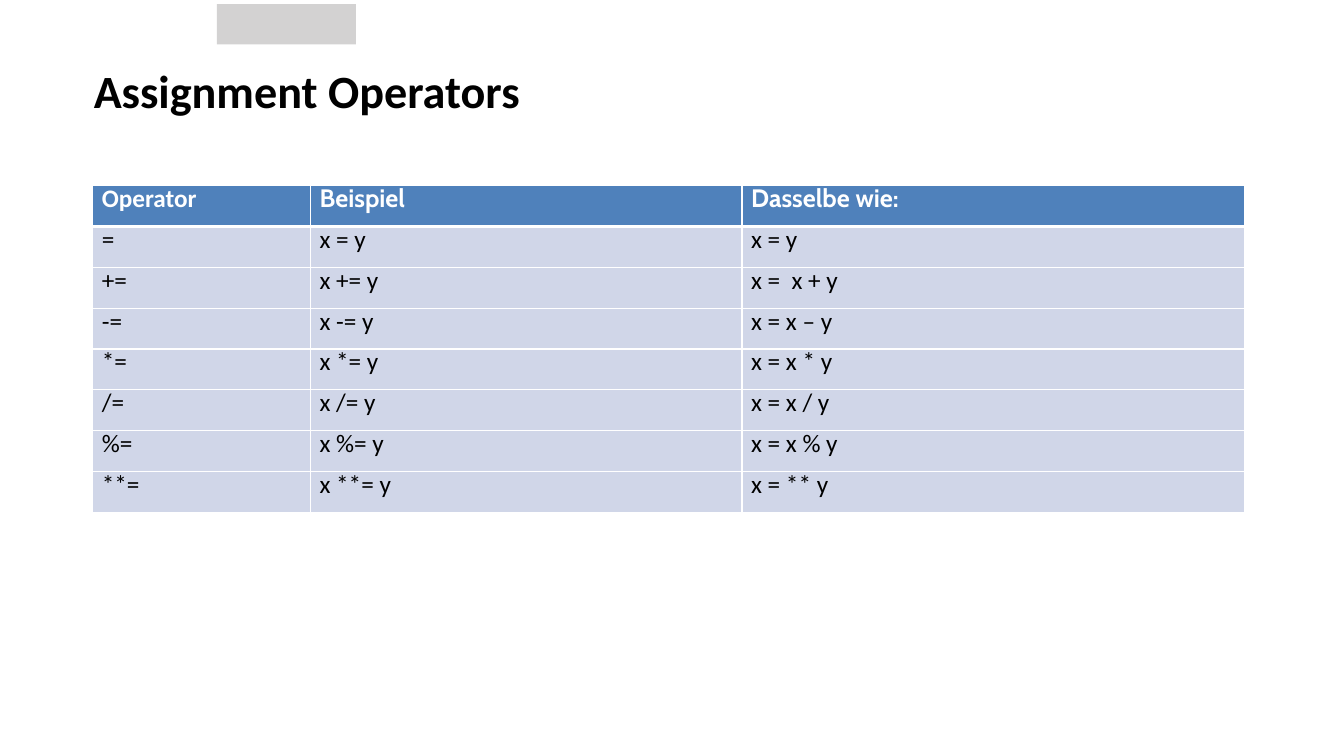
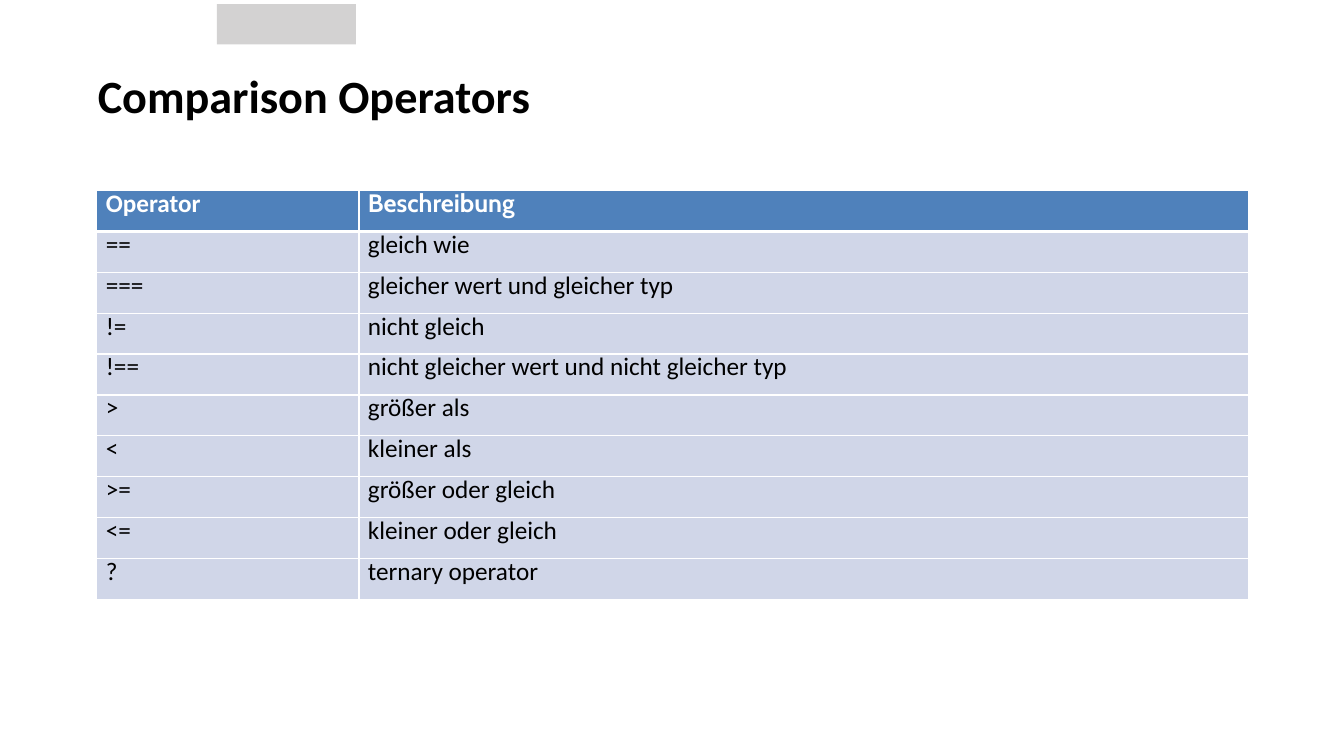
from lxml import etree
from pptx import Presentation
from pptx.dml.color import RGBColor
from pptx.enum.shapes import MSO_SHAPE
from pptx.enum.text import MSO_ANCHOR, MSO_AUTO_SIZE
from pptx.oxml.ns import qn
from pptx.util import Inches, Pt

RECTANGLE = MSO_SHAPE.RECTANGLE
MIDDLE = MSO_ANCHOR.MIDDLE
FIT_SHAPE = MSO_AUTO_SIZE.SHAPE_TO_FIT_TEXT

WHITE, BLACK = "FFFFFF", "000000"
BAND_GREY, HEADER_BLUE, BODY_BLUE = "D3D2D2", "4F81BB", "D0D6E8"
BODY_FONT, HEADER_FONT = "Calibri", "Cabin"

TITLE_TO_TABLE = 1.24
ROW_HEIGHT = Pt(29.2)
THIN, THICK = Pt(1), Pt(3)

ASSIGNMENT_ROWS = [
    ("Operator", "Beispiel", "Dasselbe wie:"),
    ("=", "x = y", "x = y"),
    ("+=", "x += y", "x =  x + y"),
    ("-=", "x -= y", "x = x – y"),
    ("*=", "x *= y", "x = x * y"),
    ("/=", "x /= y", "x = x / y"),
    ("%=", "x %= y", "x = x % y"),
    ("**=", "x **= y", "x = ** y"),
]
COMPARISON_ROWS = [
    ("Operator", "Beschreibung"),
    ("==", "gleich wie"),
    ("===", "gleicher wert und gleicher typ"),
    ("!=", "nicht gleich"),
    ("!==", "nicht gleicher wert und nicht gleicher typ"),
    (">", "größer als"),
    ("<", "kleiner als"),
    (">=", "größer oder gleich"),
    ("<=", "kleiner oder gleich"),
    ("?", "ternary operator"),
]


def color(value):
    return RGBColor.from_string(value)


def set_fill(target, value):
    target.fill.solid()
    target.fill.fore_color.rgb = color(value)


def add_run(paragraph, text, size, value, bold=False, font=BODY_FONT):
    run = paragraph.add_run()
    run.text = text
    run.font.name = font
    run.font.size = Pt(size)
    run.font.bold = bold
    run.font.color.rgb = color(value)


def add_band(slide):
    band = slide.shapes.add_shape(
        RECTANGLE, Inches(2.15), Inches(0.04), Inches(1.38), Inches(0.4))
    band.shadow.inherit = False
    set_fill(band, BAND_GREY)
    band.line.fill.background()


def add_title(slide, text, left, top):
    title = slide.shapes.add_textbox(
        Inches(left), Inches(top), Inches(5.25), Inches(0.57))
    frame = title.text_frame
    frame.word_wrap = True
    frame.auto_size = FIT_SHAPE
    frame.vertical_anchor = MIDDLE
    frame.margin_left = frame.margin_top = Inches(0.01)
    frame.margin_right = frame.margin_bottom = 0
    paragraph = frame.paragraphs[0]
    paragraph.space_before = Pt(1)
    add_run(paragraph, text, 33, BLACK, bold=True)


def set_borders(cell, top, bottom):
    properties = cell._tc.get_or_add_tcPr()
    widths = {"a:lnL": THIN, "a:lnR": THIN, "a:lnT": top, "a:lnB": bottom}
    for tag, width in widths.items():
        line = etree.SubElement(properties, qn(tag), w=str(int(width)))
        fill = etree.SubElement(line, qn("a:solidFill"))
        etree.SubElement(fill, qn("a:srgbClr"), val=WHITE)


def fill_cell(cell, text, row, column):
    is_header = row == 0
    cell.margin_left = Inches(0.09)
    cell.margin_top = cell.margin_right = cell.margin_bottom = 0
    set_borders(cell, THICK if row == 1 else THIN, THICK if is_header else THIN)
    set_fill(cell, HEADER_BLUE if is_header else BODY_BLUE)
    paragraph = cell.text_frame.paragraphs[0]
    paragraph.line_spacing = Pt(20.5)
    font = HEADER_FONT if is_header and column > 0 else BODY_FONT
    add_run(paragraph, text, 18, WHITE if is_header else BLACK, is_header, font)


def add_operator_table(slide, rows, widths, left, top):
    table = slide.shapes.add_table(
        len(rows), len(widths), Inches(left), Inches(top),
        Inches(sum(widths)), ROW_HEIGHT * len(rows)).table
    table.horz_banding = False
    for column, width in zip(table.columns, widths):
        column.width = Inches(width)
    for row, texts in enumerate(rows):
        table.rows[row].height = ROW_HEIGHT
        for column, text in enumerate(texts):
            fill_cell(table.cell(row, column), text, row, column)


def add_operator_slide(presentation, title, rows, widths, left, top):
    slide = presentation.slides.add_slide(presentation.slide_layouts[6])
    add_band(slide)
    add_title(slide, title, left, top)
    add_operator_table(slide, rows, widths, left, top + TITLE_TO_TABLE)


def main():
    presentation = Presentation()
    presentation.slide_width = Inches(13.33)
    presentation.slide_height = Inches(7.5)
    add_operator_slide(presentation, "Assignment Operators", ASSIGNMENT_ROWS,
                       (2.16, 4.28, 4.98), 0.92, 0.6)
    add_operator_slide(presentation, "Comparison Operators", COMPARISON_ROWS,
                       (2.6, 8.82), 0.96, 0.65)
    presentation.save("out.pptx")


if __name__ == "__main__":
    main()
